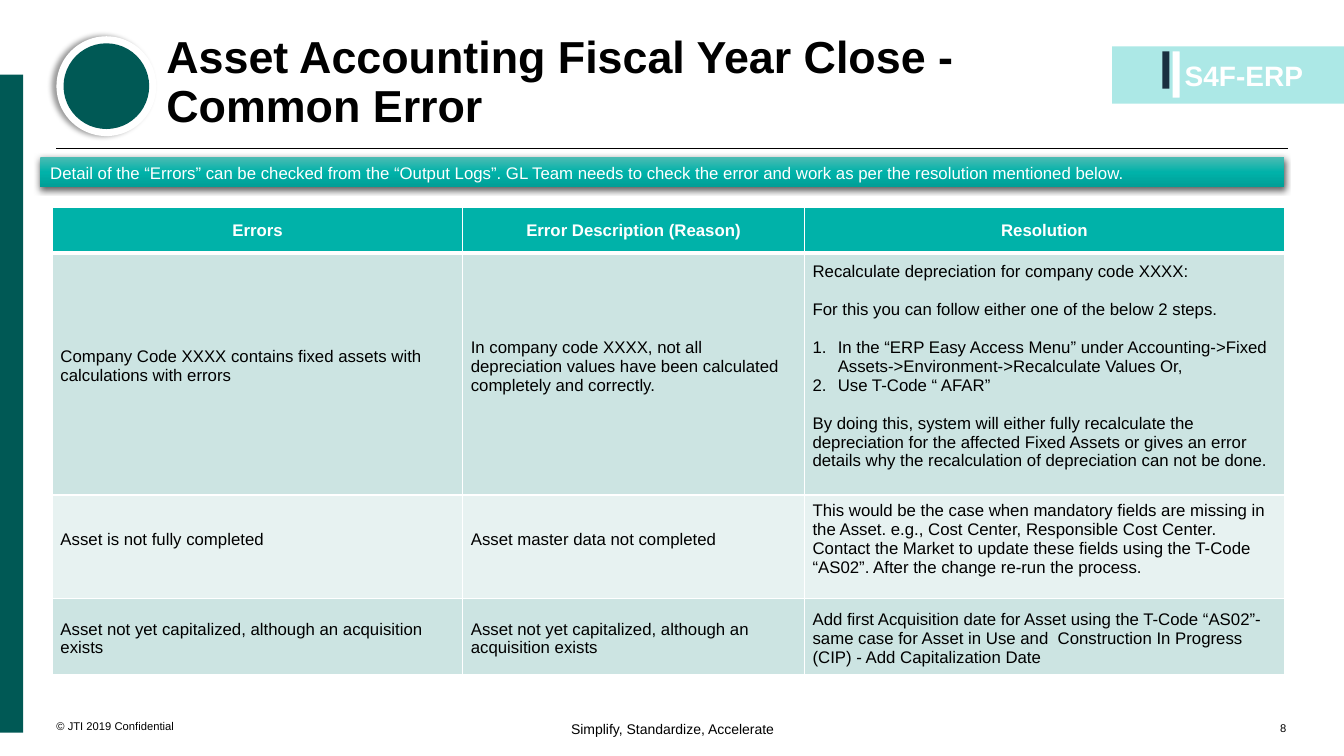
from lxml.etree import SubElement
from pptx import Presentation
from pptx.dml.color import RGBColor
from pptx.enum.shapes import MSO_CONNECTOR as Connector, MSO_SHAPE as Shape
from pptx.enum.text import MSO_ANCHOR as Anchor, PP_ALIGN as Align
from pptx.oxml.ns import qn
from pptx.util import Inches, Pt

BLACK, WHITE, TEAL, DARK_TEAL = "000000", "FFFFFF", "00B2A9", "005955"
HEADINGS = ["Errors", "Error Description (Reason)", "Resolution"]
COLUMN_WIDTHS = [4.07, 3.39, 4.76]
ROW_HEIGHTS = [0.45, 2.39, 0.99, 0.75]
ROW_FILLS = [TEAL, "CCE4E2", "E7F2F1", "CCE4E2"]
BOTTOM_MARGINS = [0, 0.19, 0.19, 0]
BLANK_LINE = 13.7
RECALCULATION = [
    ("Recalculate depreciation for company code XXXX:", 0, False),
    ("For this you can follow either one of the below 2 steps.", BLANK_LINE, False),
    ("In the “ERP Easy Access Menu” under Accounting->Fixed Assets->Environment->"
     "Recalculate Values Or,", BLANK_LINE, True),
    ("Use T-Code “ AFAR”", 0, True),
    ("By doing this, system will either fully recalculate the depreciation for the "
     "affected Fixed Assets or gives an error details why the recalculation of "
     "depreciation can not be done.", BLANK_LINE, False),
]
ERRORS = [
    ["Company Code XXXX contains fixed assets with calculations with errors",
     "In company code XXXX, not all depreciation values have been calculated "
     "completely and correctly.", RECALCULATION],
    ["Asset is not fully completed", "Asset master data not completed",
     "This would be the case when mandatory fields are missing in the Asset. e.g., "
     "Cost Center, Responsible Cost Center. Contact the Market to update these fields "
     "using the T-Code “AS02”. After the change re-run the process."],
    ["Asset not yet capitalized, although an acquisition exists",
     "Asset not yet capitalized, although an acquisition exists",
     "Add first Acquisition date for Asset using the T-Code “AS02”- same case for "
     "Asset in Use and  Construction In Progress (CIP) - Add Capitalization Date"],
]


def color(hex_code):
    """Return the colour for a hex string."""
    return RGBColor.from_string(hex_code)


def add_run(paragraph, text, size, hex_code=BLACK, bold=False):
    """Add one formatted run to a paragraph."""
    run = paragraph.add_run()
    run.text = text
    run.font.name, run.font.size, run.font.bold = "Arial", Pt(size), bold
    run.font.color.rgb = color(hex_code)


def set_frame(frame, margins=(0, 0, 0, 0), anchor=Anchor.TOP):
    """Set wrapping, margins and anchor of a text frame."""
    frame.word_wrap = True
    frame.vertical_anchor = anchor
    (frame.margin_left, frame.margin_top,
     frame.margin_right, frame.margin_bottom) = map(Inches, margins)


def add_label(slide, box, text, size, hex_code=BLACK, bold=False,
              align=Align.LEFT, anchor=Anchor.TOP):
    """Place a one-paragraph label in a box."""
    frame = slide.shapes.add_textbox(*map(Inches, box)).text_frame
    set_frame(frame, anchor=anchor)
    frame.paragraphs[0].alignment = align
    add_run(frame.paragraphs[0], text, size, hex_code, bold)


def add_block(slide, kind, box, hex_code):
    """Place a plain filled shape without outline or shadow."""
    block = slide.shapes.add_shape(kind, *map(Inches, box))
    block.shadow.inherit = False
    block.fill.solid()
    block.fill.fore_color.rgb = color(hex_code)
    block.line.fill.background()
    return block


def cast_shadow(block, opacity, blur, distance, angle):
    """Give a shape a black outer shadow."""
    effects = block._element.spPr.find(qn("a:effectLst"))
    shadow = SubElement(effects, qn("a:outerShdw"), blurRad=str(Pt(blur)),
                        dist=str(Pt(distance)), dir=str(angle * 60000), rotWithShape="0")
    black = SubElement(shadow, qn("a:srgbClr"), val=BLACK)
    SubElement(black, qn("a:alpha"), val=str(opacity * 1000))


def add_badge(slide, left, top, width, height):
    """Draw the programme badge at the top right."""
    add_block(slide, Shape.RECTANGLE, (left, top, width, height), "ACE8E6")
    add_block(slide, Shape.RECTANGLE, (left + 0.5, top + 0.05, 0.07, 0.37), "1A3040")
    bar = add_block(slide, Shape.ROUNDED_RECTANGLE,
                    (left + 0.6, top + 0.05, 0.07, 0.46), WHITE)
    bar.adjustments[0] = 0.07
    add_label(slide, (left + 0.72, top + 0.12, 1.25, 0.5), "S4F-ERP", 20, WHITE, True)


def add_medallion(slide, left, top, size):
    """Draw the ringed circle beside the title."""
    rim = 0.07
    ring = add_block(slide, Shape.OVAL, (left, top, size, size), WHITE)
    cast_shadow(ring, 40, 4, 3, 180)
    inner = size - 2 * rim
    add_block(slide, Shape.OVAL, (left + rim, top + rim, inner, inner), DARK_TEAL)


def add_title(slide, left, top, width, height):
    """Place and format the slide title."""
    title = slide.shapes.title
    title.left, title.top, title.width, title.height = map(
        Inches, (left, top, width, height))
    set_frame(title.text_frame, anchor=Anchor.BOTTOM)
    heading = title.text_frame.paragraphs[0]
    heading.alignment, heading.line_spacing = Align.LEFT, 0.9
    add_run(heading, "Asset Accounting Fiscal Year Close - Common Error", 32, bold=True)


def add_rule(slide, left, top, width):
    """Draw the rule below the title."""
    rule = slide.shapes.add_connector(
        Connector.STRAIGHT, *map(Inches, (left, top, left + width, top)))
    rule.line.color.rgb, rule.line.width = color(BLACK), Pt(0.75)
    SubElement(rule._element.spPr, qn("a:effectLst"))


def add_banner(slide, left, top, width, height):
    """Draw the gradient banner with the instruction."""
    banner = add_block(slide, Shape.RECTANGLE, (left, top, width, height), TEAL)
    banner.fill.gradient()
    banner.fill.gradient_angle = 270
    for stop, shade in zip(banner.fill.gradient_stops, ("4BBBB3", "009E96")):
        stop.color.rgb = color(shade)
    first_stop = banner.fill.gradient_stops[0]._gs
    middle = SubElement(first_stop.getparent(), qn("a:gs"), pos="50000")
    SubElement(middle, qn("a:srgbClr"), val=TEAL)
    first_stop.addnext(middle)
    cast_shadow(banner, 63, 4.5, 1.5, 90)
    set_frame(banner.text_frame, (0.1, 0.05, 0.1, 0.05), Anchor.MIDDLE)
    instruction = banner.text_frame.paragraphs[0]
    instruction.alignment = Align.LEFT
    add_run(instruction, "Detail of the “Errors” can be checked from the “Output Logs”. "
            "GL Team needs to check the error and work as per the resolution "
            "mentioned below.", 12, WHITE)


def style_cell(cell, hex_code, bottom_border):
    """Give a cell white borders and a solid fill."""
    properties = cell._tc.get_or_add_tcPr()
    for side, width in (("L", 1), ("R", 1), ("T", 1), ("B", bottom_border)):
        border = SubElement(properties, qn(f"a:ln{side}"), w=str(Pt(width)))
        SubElement(SubElement(border, qn("a:solidFill")), qn("a:srgbClr"), val=WHITE)
    cell.fill.solid()
    cell.fill.fore_color.rgb = color(hex_code)


def fill_cell(cell, content, is_heading, bottom_margin):
    """Write the paragraphs of a cell."""
    side, top = (0.01, 0.01) if is_heading else (0.08, 0.04)
    cell.margin_left = cell.margin_right = Inches(side)
    cell.margin_top, cell.margin_bottom = Inches(top), Inches(bottom_margin)
    cell.vertical_anchor = Anchor.MIDDLE
    lines = [(content, 0, False)] if isinstance(content, str) else content
    for index, (text, gap, numbered) in enumerate(lines):
        frame = cell.text_frame
        paragraph = frame.add_paragraph() if index else frame.paragraphs[0]
        if numbered:
            properties = paragraph._p.get_or_add_pPr()
            properties.set("marL", str(Inches(0.25)))
            properties.set("indent", str(-Inches(0.25)))
            SubElement(properties, qn("a:buAutoNum"), type="arabicPeriod")
        if gap:
            paragraph.space_before = Pt(gap)
        paragraph.alignment = Align.CENTER if is_heading else Align.LEFT
        add_run(paragraph, text, 12, WHITE if is_heading else BLACK, is_heading)


def add_error_table(slide, left, top):
    """Build the table of errors, reasons and resolutions."""
    size = sum(COLUMN_WIDTHS), sum(ROW_HEIGHTS)
    table = slide.shapes.add_table(len(ROW_HEIGHTS), len(COLUMN_WIDTHS),
                                   *map(Inches, (left, top, *size))).table
    for column, width in zip(table.columns, COLUMN_WIDTHS):
        column.width = Inches(width)
    for index, entries in enumerate([HEADINGS, *ERRORS]):
        table.rows[index].height = Inches(ROW_HEIGHTS[index])
        for cell, content in zip(table.rows[index].cells, entries):
            style_cell(cell, ROW_FILLS[index], 1 if index else 3)
            fill_cell(cell, content, index == 0, BOTTOM_MARGINS[index])


def add_footer(slide, left, top, width):
    """Place the copyright line, motto and page number."""
    add_label(slide, (left, top, 1.97, 0.4), "© JTI 2019 Confidential", 8,
              anchor=Anchor.BOTTOM)
    add_label(slide, (left + 4.58, top + 0.28, 3.06, 0.3),
              "Simplify, Standardize, Accelerate", 10, align=Align.CENTER)
    add_label(slide, (left + width - 0.44, top + 0.02, 0.43, 0.4), "8", 8,
              align=Align.RIGHT, anchor=Anchor.BOTTOM)


def main():
    """Build and save the slide."""
    deck = Presentation()
    deck.slide_width, deck.slide_height = Inches(13.33), Inches(7.5)
    slide = deck.slides.add_slide(deck.slide_layouts[5])
    add_rule(slide, 0.56, 1.47, 12.21)
    add_badge(slide, 11.03, 0.46, 2.3, 0.57)
    add_block(slide, Shape.RECTANGLE, (0, 0.74, 0.23, 6.53), DARK_TEAL)
    add_medallion(slide, 0.56, 0.36, 0.99)
    add_title(slide, 1.65, 0.23, 9.74, 1.08)
    add_footer(slide, 0.56, 6.87, 12.21)
    add_error_table(slide, 0.52, 2.06)
    add_banner(slide, 0.4, 1.56, 12.34, 0.3)
    deck.save("out.pptx")


if __name__ == "__main__":
    main()
